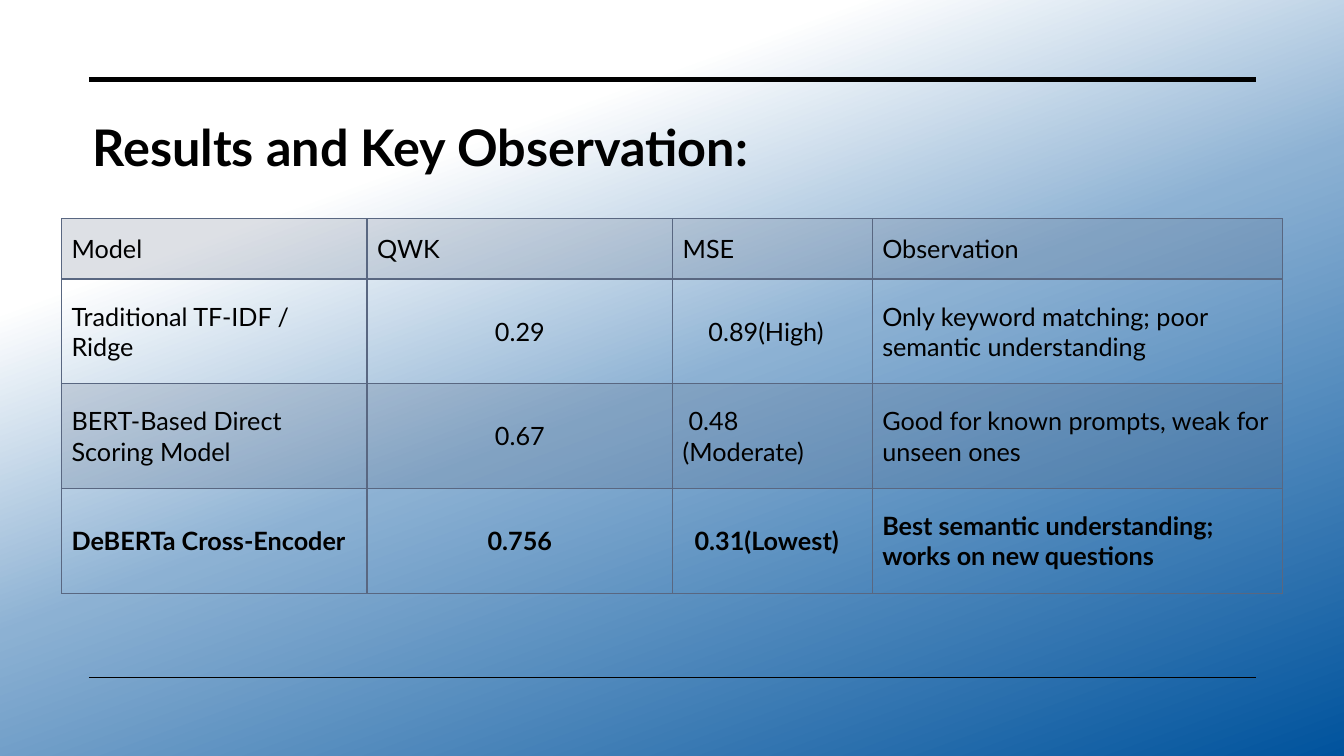
from dataclasses import dataclass
from lxml import etree
from pptx import Presentation
from pptx.dml.color import RGBColor
from pptx.enum.shapes import MSO_CONNECTOR
from pptx.enum.text import MSO_ANCHOR, MSO_AUTO_SIZE, PP_ALIGN
from pptx.oxml.ns import qn
from pptx.util import Cm, Pt

STRAIGHT = MSO_CONNECTOR.STRAIGHT
MIDDLE = MSO_ANCHOR.MIDDLE
CENTER = PP_ALIGN.CENTER
GROW = MSO_AUTO_SIZE.SHAPE_TO_FIT_TEXT


@dataclass
class Theme:
    font: str = "Lato"
    ink: str = "000000"
    slate: str = "596781"
    tint: int = 20
    fade: tuple = ((25, "FFFFFF"), (51, "8CB1D3"), (100, "00539D"))
    angle: int = 70
    title: float = 36
    body: float = 18


theme = Theme()


def set_font(para, size, bold):
    font = para.font
    font.name, font.size, font.bold = theme.font, Pt(size), bold
    font.color.rgb = RGBColor.from_string(theme.ink)


def add_color(parent, color):
    return etree.SubElement(parent, qn("a:srgbClr"), val=color)


deck = Presentation()
deck.slide_width, deck.slide_height = Cm(33.87), Cm(19.05)
slide = deck.slides.add_slide(deck.slide_layouts[6])

# Background gradient
back = slide.background.fill
back.gradient()
back.gradient_angle = 360 - theme.angle
stops = slide.background._cSld.find(".//" + qn("a:gsLst"))
for stop in list(stops):
    stops.remove(stop)
for place, color in theme.fade:
    stop = etree.SubElement(stops, qn("a:gs"), pos=str(place * 1000))
    add_color(stop, color)

# Rules above and below
for top, width in ((2.01, 3.5), (17.07, 1)):
    rule = slide.shapes.add_connector(STRAIGHT, Cm(2.24), Cm(top), Cm(31.65), Cm(top))
    rule.line.color.rgb = RGBColor.from_string(theme.ink)
    rule.line.width = Pt(width)
    etree.SubElement(rule._element.spPr, qn("a:effectLst"))

# Title
box = slide.shapes.add_textbox(Cm(2.08), Cm(2.79), Cm(21.36), Cm(1.8))
frame = box.text_frame
frame.word_wrap = True
frame.auto_size = GROW
frame.text = "Results and Key Observation:"
set_font(frame.paragraphs[0], theme.title, True)

# Results table
rows = (
    ("Model", "QWK", "MSE", "Observation"),
    ("Traditional TF-IDF / Ridge", "0.29", "0.89(High)",
     "Only keyword matching; poor semantic understanding"),
    ("BERT-Based Direct Scoring Model", "0.67", "0.48 (Moderate)",
     "Good for known prompts, weak for unseen ones"),
    ("DeBERTa Cross-Encoder", "0.756", "0.31(Lowest)",
     "Best semantic understanding; works on new questions"),
)
widths = (7.7, 7.7, 5.03, 10.34)
heights = (1.52, 2.64, 2.64, 2.64)
indents = (0, 0.65, 0.15, 0.3)  # first-line indents of the MSE column

table = slide.shapes.add_table(len(rows), len(widths), Cm(1.55), Cm(5.51),
                               Cm(sum(widths)), Cm(sum(heights))).table
table.first_row = table.horz_banding = False
for col, width in zip(table.columns, widths):
    col.width = Cm(width)

for r, words in enumerate(rows):
    table.rows[r].height = Cm(heights[r])
    for c, text in enumerate(words):
        cell = table.cell(r, c)
        cell.text = text
        cell.vertical_anchor = MIDDLE
        para = cell.text_frame.paragraphs[0]
        set_font(para, theme.body, r == len(rows) - 1)
        if c == 1 and r:
            para.alignment = CENTER
        if c == 2 and r:
            para._p.get_or_add_pPr().set("indent", str(Cm(indents[r])))

        # Borders come before the fill in the cell properties
        props = cell._tc.get_or_add_tcPr()
        for side in "LRTB":
            edge = etree.SubElement(props, qn("a:ln" + side), w=str(Pt(1)))
            add_color(etree.SubElement(edge, qn("a:solidFill")), theme.slate)

        # Every other row is tinted
        if r % 2:
            cell.fill.background()
        else:
            cell.fill.solid()
            cell.fill.fore_color.rgb = RGBColor.from_string(theme.slate)
            shade = props.find(qn("a:solidFill")).find(qn("a:srgbClr"))
            etree.SubElement(shade, qn("a:alpha"), val=str(theme.tint * 1000))

deck.save("out.pptx")
